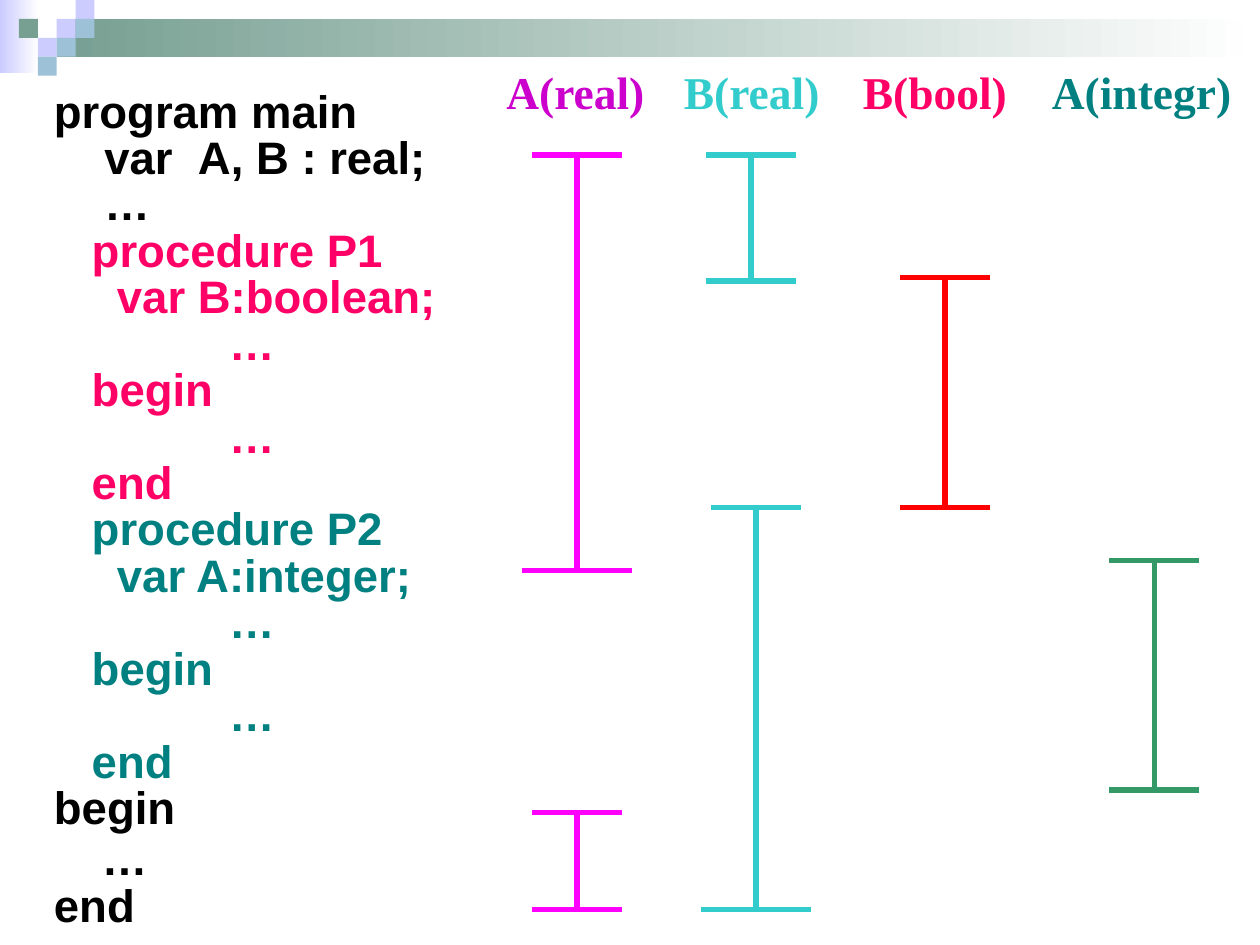
import pptx
import pptx.dml.color
import pptx.enum.shapes
import pptx.enum.text
import pptx.oxml.ns
import pptx.util
from lxml import etree

Inches = pptx.util.Inches
Pt = pptx.util.Pt

BLACK, PINK, TEAL = "000000", "FF0066", "008080"
LILAC, SKY, SAGE, WHITE = "CCCCFF", "9DC2D7", "779F92", "FFFFFF"
MAGENTA, AQUA, RED, GREEN = "FF00FF", "33CCCC", "FF0000", "339966"

CELL = 0.15
CELLS = [(3, 1, LILAC), (4, 0, LILAC), (4, 1, SKY), (2, 2, LILAC),
         (1, 1, SAGE), (3, 2, SKY), (2, 3, SKY)]

PROGRAM = [
    ("program main", 0, BLACK),
    ("var A, B : real;", 0.4, BLACK),
    ("…", 0.4, BLACK),
    ("procedure P1", 0.3, PINK),
    ("var B:boolean;", 0.5, PINK),
    ("…", 1.39, PINK),
    ("begin", 0.3, PINK),
    ("…", 1.39, PINK),
    ("end", 0.3, PINK),
    ("procedure P2", 0.3, TEAL),
    ("var A:integer;", 0.5, TEAL),
    ("…", 1.39, TEAL),
    ("begin", 0.3, TEAL),
    ("…", 1.39, TEAL),
    ("end", 0.3, TEAL),
    ("begin", 0, BLACK),
    ("…", 0.38, BLACK),
    ("end", 0, BLACK),
]
WIDE_GAP_LINE, LOOSE_LINE = 1, 16

NARROW, WIDE = 0.67, 0.83
LIFETIMES = [
    ("A(real)", "CC00CC", (3.92, 0.46, 1.32, 0.54), MAGENTA,
     [(4.58, 1.23, 4.53, NARROW, WIDE), (4.58, 6.45, 7.22, NARROW, NARROW)]),
    ("B(real)", AQUA, (5.33, 0.46, 1.3, 0.54), AQUA,
     [(5.96, 1.23, 2.23, NARROW, NARROW), (6, 4.03, 7.22, NARROW, WIDE)]),
    ("B(bool)", PINK, (6.75, 0.46, 1.37, 0.54), RED,
     [(7.5, 2.2, 4.03, NARROW, NARROW)]),
    ("A(integr)", TEAL, (8.25, 0.46, 1.65, 0.54), GREEN,
     [(9.16, 4.45, 6.27, NARROW, NARROW)]),
]


def color(value):
    return pptx.dml.color.RGBColor.from_string(value)


def apply(target, values):
    for name, value in values.items():
        setattr(target, name, value)


def add_rectangle(slide, box, fill, fade=None):
    shape = slide.shapes.add_shape(
        pptx.enum.shapes.MSO_SHAPE.RECTANGLE, *map(Inches, box))
    shape.shadow.inherit = False
    shape.line.fill.background()
    if fade is None:
        shape.fill.solid()
        shape.fill.fore_color.rgb = color(fill)
        return
    shape.fill.gradient()
    shape.fill.gradient_angle = 0
    for stop, value in zip(shape.fill.gradient_stops, (fill, fade)):
        stop.color.rgb = color(value)


def add_line(slide, start, end, stroke):
    connector = slide.shapes.add_connector(
        pptx.enum.shapes.MSO_CONNECTOR.STRAIGHT, *map(Inches, start + end))
    connector.line.width = Pt(3)
    connector.line.color.rgb = color(stroke)
    properties = connector._element.spPr
    properties.find(pptx.oxml.ns.qn("a:ln")).set("cap", "sq")
    etree.SubElement(properties, pptx.oxml.ns.qn("a:effectLst"))


def add_text_frame(slide, box, wrap):
    frame = slide.shapes.add_textbox(*map(Inches, box)).text_frame
    apply(frame, {
        "word_wrap": wrap,
        "margin_left": Inches(0.1), "margin_right": Inches(0.1),
        "margin_top": Inches(0.05), "margin_bottom": Inches(0.05),
    })
    return frame


def add_run(paragraph, text, font_name, text_color):
    run = paragraph.add_run()
    run.text = text
    apply(run.font, {"name": font_name, "size": Pt(26), "bold": True})
    run.font.color.rgb = color(text_color)
    return run


def add_header(slide, box):
    left, top, width, height = box
    add_rectangle(slide, (left, top, 0.31, height), LILAC, WHITE)
    add_rectangle(slide, (left + 3 * CELL, top + CELL, width - 3 * CELL, 2 * CELL),
                  SAGE, WHITE)
    for column, row, fill in CELLS:
        add_rectangle(slide, (left + column * CELL, top + row * CELL, CELL, CELL), fill)


def add_program(slide, box):
    frame = add_text_frame(slide, box, True)
    for index, (text, indent, text_color) in enumerate(PROGRAM):
        paragraph = frame.paragraphs[0] if index == 0 else frame.add_paragraph()
        apply(paragraph, {
            "line_spacing": 0.9 if index == LOOSE_LINE else 0.8,
            "space_before": Pt(1.6),
        })
        paragraph._p.get_or_add_pPr().set("marL", str(Inches(indent)))
        parts = text.partition(" ") if index == WIDE_GAP_LINE else [text]
        for part in parts:
            run = add_run(paragraph, part, "Arial", text_color)
            if part == " ":
                run.font._element.set("spc", "720")


def add_lifetime(slide, box, label, label_color, stroke, spans):
    frame = add_text_frame(slide, box, False)
    frame.auto_size = pptx.enum.text.MSO_AUTO_SIZE.SHAPE_TO_FIT_TEXT
    add_run(frame.paragraphs[0], label, "Times New Roman", label_color)
    for center, top, bottom, top_width, bottom_width in spans:
        add_line(slide, (center, top), (center, bottom), stroke)
        for height, width in ((top, top_width), (bottom, bottom_width)):
            add_line(slide, (center - width / 2, height),
                     (center + width / 2, height), stroke)


def main():
    presentation = pptx.Presentation()
    apply(presentation, {"slide_width": Inches(10), "slide_height": Inches(7.5)})
    slide = presentation.slides.add_slide(presentation.slide_layouts[6])
    add_header(slide, (0, 0, 10, 0.58))
    add_program(slide, (0.33, 0.69, 3.83, 6.85))
    for label, label_color, box, stroke, spans in LIFETIMES:
        add_lifetime(slide, box, label, label_color, stroke, spans)
    presentation.save("out.pptx")


if __name__ == "__main__":
    main()
